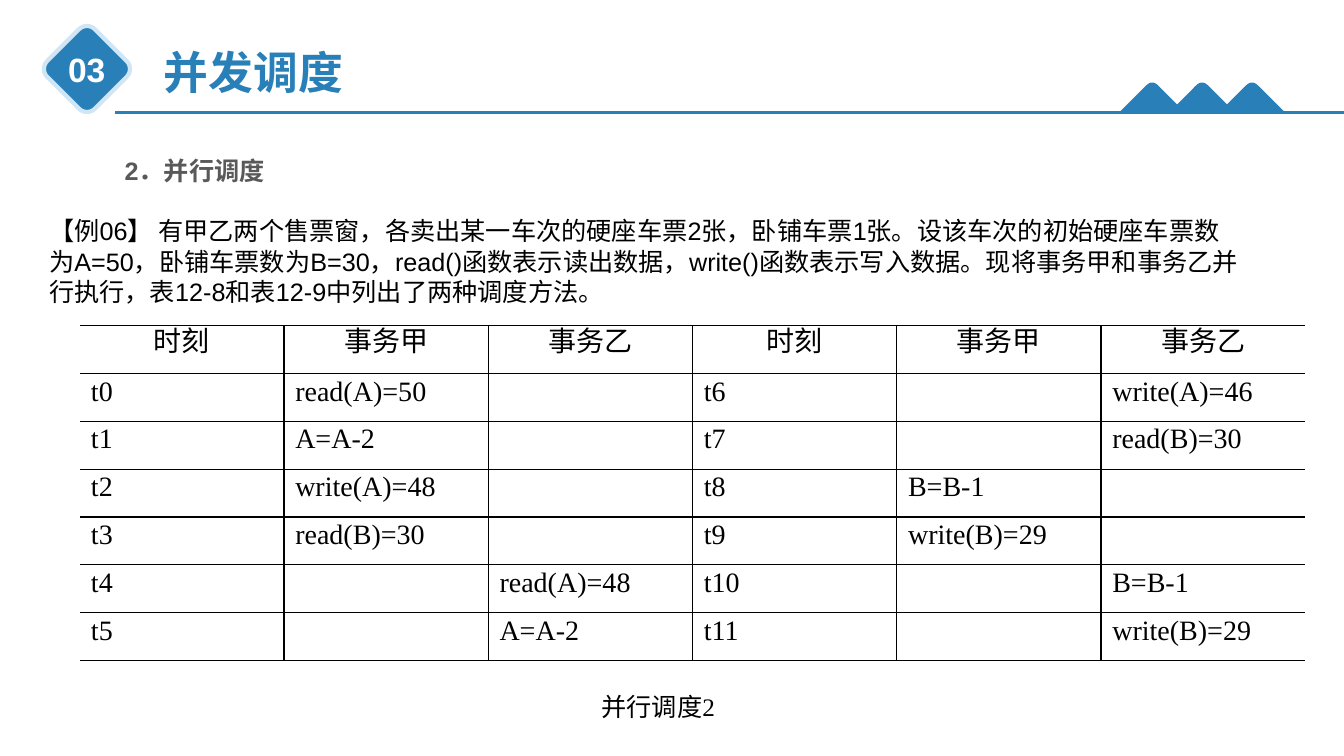
from lxml import etree
from pptx import Presentation
from pptx import util as u
from pptx.dml.color import RGBColor
from pptx.enum import shapes, text
from pptx.oxml import ns

COLORS = {"blue": "2980B9", "pale": "D1E6F5", "white": "FFFFFF", "grey": "595959", "black": "000000"}
SANS, SERIF = "Arial", "Times New Roman"
EXERCISE = (
    "【例06】 有甲乙两个售票窗，各卖出某一车次的硬座车票2张，卧铺车票1张。"
    "设该车次的初始硬座车票数为A=50，卧铺车票数为B=30，read()函数表示读出数据，"
    "write()函数表示写入数据。现将事务甲和事务乙并行执行，表12-8和表12-9中列出了两种调度方法。"
)
SCHEDULE = [
    ["时刻", "事务甲", "事务乙"] * 2,
    ["t0", "read(A)=50", "", "t6", "", "write(A)=46"],
    ["t1", "A=A-2", "", "t7", "", "read(B)=30"],
    ["t2", "write(A)=48", "", "t8", "B=B-1", ""],
    ["t3", "read(B)=30", "", "t9", "write(B)=29", ""],
    ["t4", "", "read(A)=48", "t10", "", "B=B-1"],
    ["t5", "", "A=A-2", "t11", "", "write(B)=29"],
]


def color(name):
    """Return the named colour."""
    return RGBColor.from_string(COLORS[name])


def format_runs(paragraph, size, ink, font=SANS, bold=False):
    """Apply one font to every run of a paragraph."""
    for run in paragraph.runs:
        run.font.size, run.font.name, run.font.bold = u.Pt(size), font, bold
        run.font.color.rgb = color(ink)


def add_text(slide, box, words, size, ink, font=SANS, bold=False, wrap=True):
    """Add a text box and return its paragraph."""
    frame = slide.shapes.add_textbox(*map(u.Pt, box)).text_frame
    frame.word_wrap = wrap
    frame.text = words
    paragraph = frame.paragraphs[0]
    format_runs(paragraph, size, ink, font, bold)
    return paragraph


def add_peak(slide, center, top, height):
    """Add a mountain with 45 degree sides and a parabolic tip."""
    tip = 4.4
    half = height + tip / 2
    curve = [(step * tip / 4, (step * tip / 4) ** 2 / (2 * tip)) for step in range(-4, 5)]
    outline = [(-half, height), *curve, (half, height)]
    points = [(u.Pt(center + x), u.Pt(top + y)) for x, y in outline]
    builder = slide.shapes.build_freeform(*points[0], scale=1.0)
    builder.add_line_segments(points[1:], close=True)
    peak = builder.convert_to_shape()
    peak.shadow.inherit = False
    peak.fill.solid()
    peak.fill.fore_color.rgb = color("blue")
    peak.line.fill.background()


def add_header(slide, box, number, title):
    """Add the numbered diamond, title, rule and mountains."""
    left, top, width, height = box
    bottom = top + height
    badge = 48.2
    diamond = slide.shapes.add_shape(
        shapes.MSO_SHAPE.ROUNDED_RECTANGLE, *map(u.Pt, (left, top, badge, badge)))
    diamond.rotation = 45
    diamond.shadow.inherit = False
    diamond.fill.solid()
    diamond.fill.fore_color.rgb = color("blue")
    diamond.line.color.rgb = color("pale")
    diamond.line.width = u.Pt(3)
    rule = slide.shapes.add_connector(
        shapes.MSO_CONNECTOR.STRAIGHT, u.Pt(left + 44), u.Pt(bottom), u.Pt(left + width), u.Pt(bottom))
    rule.line.color.rgb = color("blue")
    rule.line.width = u.Pt(2.25)
    etree.SubElement(rule._element.spPr, ns.qn("a:effectLst"))
    add_text(slide, (left + 72, top + 3.5, 144, 46), title, 32, "blue", bold=True, wrap=False)
    label = add_text(slide, (left + 3, top + 6.4, 42, 36), number, 24, "white", bold=True, wrap=False)
    label.alignment = text.PP_ALIGN.CENTER
    peak_height = 21.6
    for index in range(3):
        add_peak(slide, left + 785 + index * 35.64, bottom - peak_height, peak_height)


def set_border(cell, side, width):
    """Draw one cell border, or none for a zero width."""
    line = etree.SubElement(cell._tc.get_or_add_tcPr(), ns.qn(f"a:ln{side}"), w=str(u.Pt(width)))
    if width:
        fill = etree.SubElement(line, ns.qn("a:solidFill"))
        etree.SubElement(fill, ns.qn("a:srgbClr"), val=COLORS["black"])
    else:
        etree.SubElement(line, ns.qn("a:noFill"))


def fill_cell(cell, words, heading):
    """Write and format the text of one cell."""
    cell.fill.background()
    cell.vertical_anchor = text.MSO_ANCHOR.MIDDLE
    cell.margin_left = cell.margin_right = u.Pt(5)
    cell.margin_top = cell.margin_bottom = 0
    cell.text = words
    paragraph = cell.text_frame.paragraphs[0]
    paragraph.line_spacing = u.Pt(14)
    paragraph.space_before = paragraph.space_after = u.Pt(1)
    paragraph.alignment = text.PP_ALIGN.CENTER if heading else text.PP_ALIGN.JUSTIFY
    if not heading:
        paragraph._p.get_or_add_pPr().set("marL", str(u.Pt(3)))
    format_runs(paragraph, 20, "black", SANS if heading else SERIF)


def add_schedule(slide, box, rows):
    """Add the two-part schedule table with open outer sides."""
    count = len(rows[0])
    table = slide.shapes.add_table(len(rows), count, *map(u.Pt, box)).table
    table.first_row = table.horz_banding = False
    for column in table.columns:
        column.width = u.Pt(box[2] / count)
    widths = [0, 1, 1, 1.5, 1, 1, 0]
    for row_index, row in enumerate(rows):
        table.rows[row_index].height = u.Pt(box[3] / len(rows))
        for index, words in enumerate(row):
            cell = table.cell(row_index, index)
            for side, width in zip("LRTB", (widths[index], widths[index + 1], 1, 1)):
                set_border(cell, side, width)
            fill_cell(cell, words, row_index == 0)


def add_body(slide, box):
    """Add the subheading, exercise, schedule and caption."""
    left, top, width, height = box
    heading = add_text(slide, (left + 54, top, 267, 31), "2．并行调度", 18, "grey", bold=True)
    heading.line_spacing = 1.2
    add_text(slide, (left, top + 47.5, 866, 72.7), EXERCISE, 18, "black")
    add_schedule(slide, (left + 29, top + 129.6, width - 29, 239.2), SCHEDULE)
    add_text(slide, (left + 394.6, top + height - 29, 96.5, 29), "并行调度2", 18, "black", SERIF)


def main():
    """Build and save the slide."""
    presentation = Presentation()
    presentation.slide_width, presentation.slide_height = u.Pt(960), u.Pt(540)
    slide = presentation.slides.add_slide(presentation.slide_layouts[6])
    add_header(slide, (38, 25.2, 922, 55.4), "03", "并发调度")
    add_body(slide, (28, 103, 904.5, 416.3))
    presentation.save("out.pptx")


if __name__ == "__main__":
    main()
